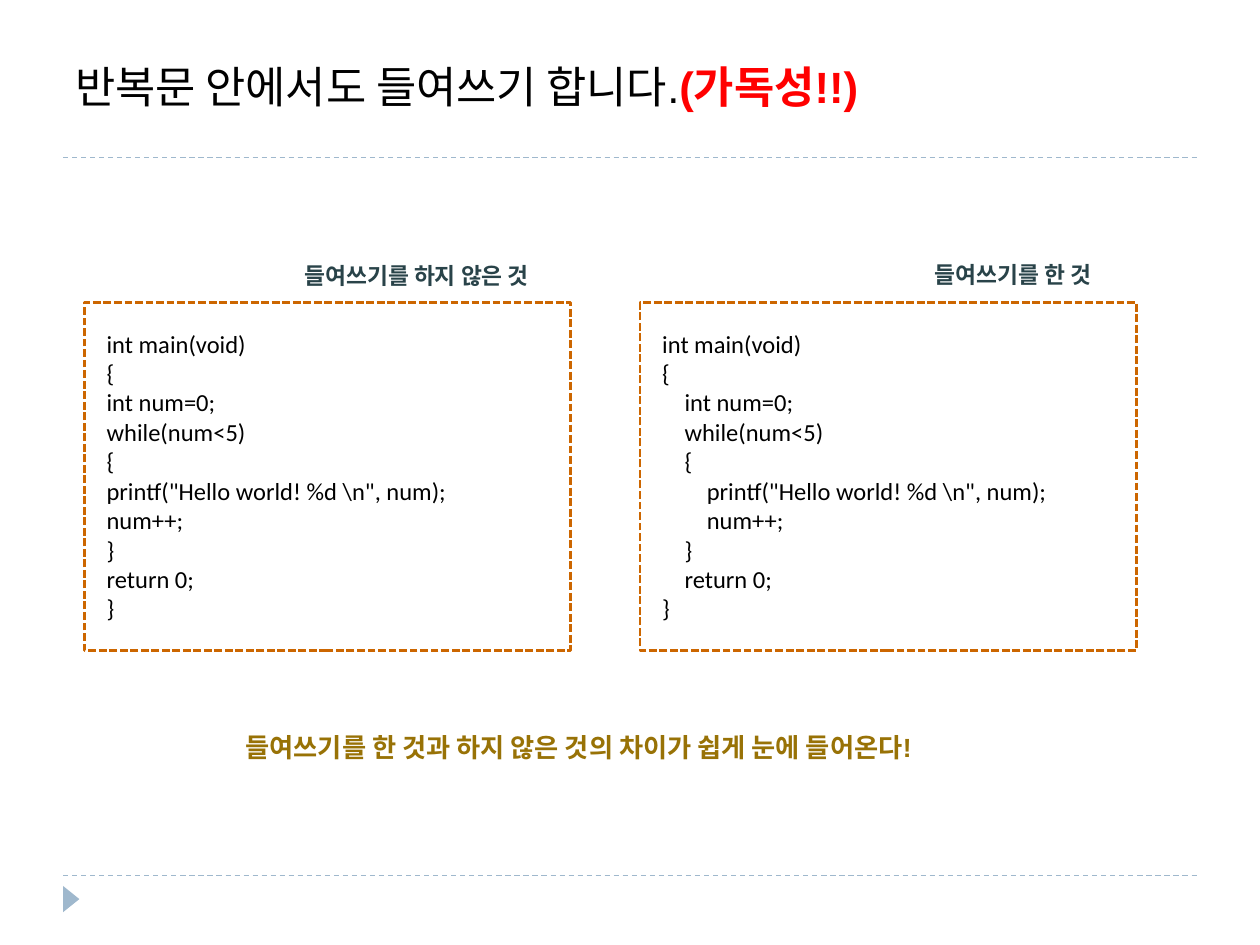
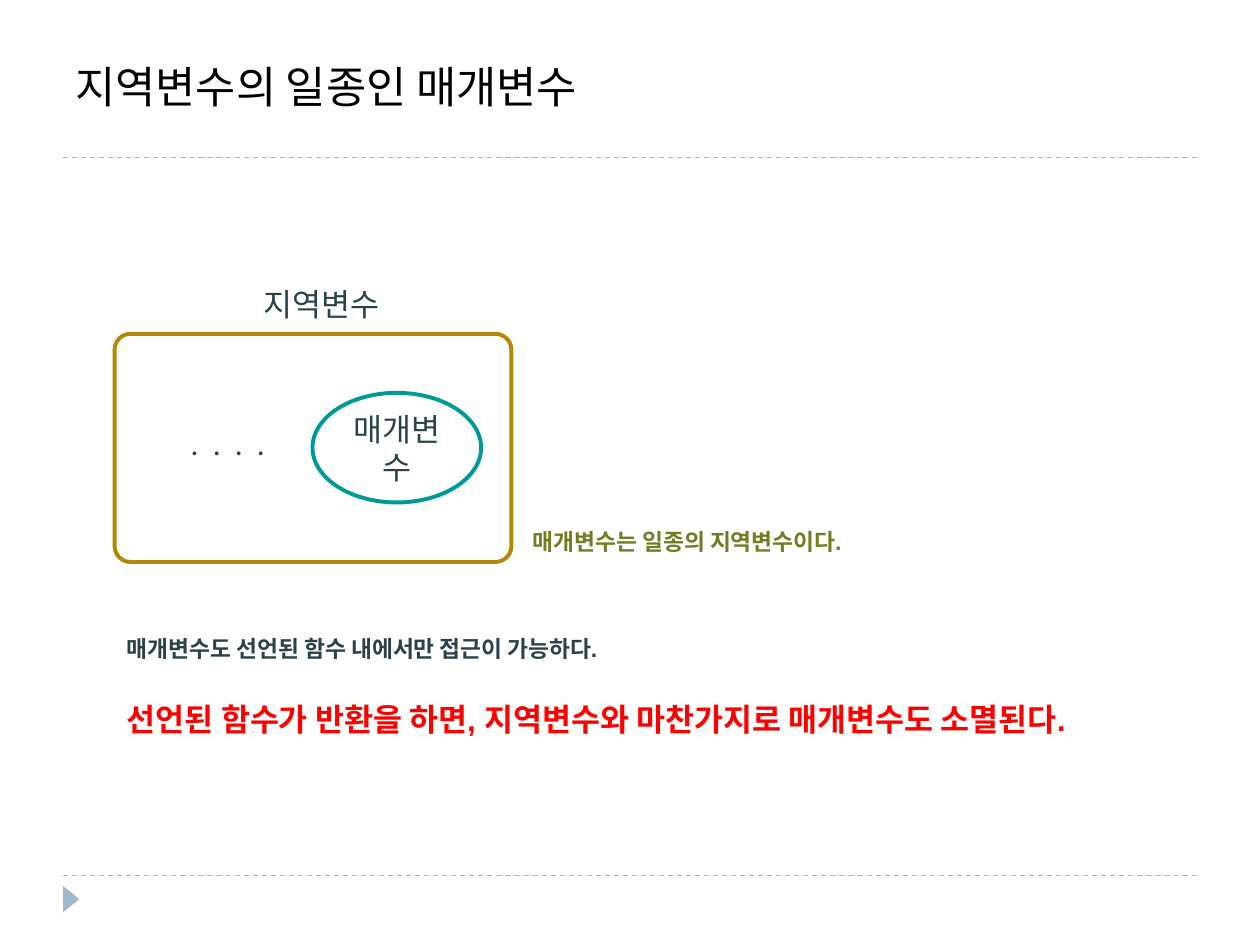
from pptx import Presentation
from pptx.dml.color import RGBColor as RGB
from pptx.enum.dml import MSO_LINE as DASH
from pptx.enum.shapes import MSO_CONNECTOR, MSO_SHAPE as SHAPE
from pptx.enum.text import MSO_ANCHOR as ANCHOR, PP_ALIGN as ALIGN
from pptx.oxml.ns import qn
from pptx.util import Cm, Pt
from lxml.etree import SubElement

COLORS = {
    "text": "000000", "band": "9FB8CD", "alert": "FF0000", "label": "294349",
    "code": "CC6600", "summary": "987206", "scope": "B38807",
    "param": "009999", "note": "737C22",
}
TITLES = [
    (22.86, [("반복문 안에서도 들여쓰기 합니다.", "text", False), ("(가독성!!)", "alert", True)]),
    (18.82, [("지역변수의 일종인 매개변수", "text", False)]),
]
CODE = [
    (0, "int main(void)"), (0, "{"), (1, "int num=0;"), (1, "while(num<5)"),
    (1, "{"), (2, 'printf("Hello world! %d \\n", num);'), (2, "num++;"),
    (1, "}"), (1, "return 0;"), (0, "}"),
]


def add_outline(s, kind, box, color=None, width=0, dash=None):
    sp = s.shapes.add_shape(kind, *map(Cm, box))
    sp.shadow.inherit = False
    sp.fill.background()
    if color:
        sp.line.color.rgb = RGB.from_string(COLORS[color])
        sp.line.width = Pt(width)
        sp.line.dash_style = dash
    else:
        sp.line.fill.background()
    return sp


def add_text(s, box, text, size, color, font="Arial", bold=True, spacing=None):
    tf = s.shapes.add_textbox(*map(Cm, box)).text_frame
    tf.word_wrap = True
    tf.text = text
    for p in tf.paragraphs:
        p.line_spacing = spacing
        for r in p.runs:
            r.font.size, r.font.name, r.font.bold = Pt(size), font, bold
            r.font.color.rgb = RGB.from_string(COLORS[color])
    return tf


prs = Presentation()
prs.slide_width, prs.slide_height = Cm(25.4), Cm(19.05)

for title_width, parts in TITLES:
    s = prs.slides.add_slide(prs.slide_layouts[6])
    for y in (17.65, 3.18):
        line = s.shapes.add_connector(MSO_CONNECTOR.STRAIGHT, Cm(1.27), Cm(y), Cm(24.13), Cm(y))
        line.line.color.rgb = RGB.from_string(COLORS["band"])
        line.line.width = Pt(0.75)
        line.line.dash_style = DASH.DASH
        SubElement(line._element.spPr, qn("a:effectLst"))
    sp = add_outline(s, SHAPE.ISOSCELES_TRIANGLE, (1.17, 17.96, 0.53, 0.33))
    sp.rotation = 90
    sp.fill.solid()
    sp.fill.fore_color.rgb = RGB.from_string(COLORS["band"])
    tf = add_text(s, (1.27, 0.43, title_width, 1.96), "", 25, "text")
    tf.vertical_anchor = ANCHOR.BOTTOM
    for text, color, bold in parts:
        r = tf.paragraphs[0].add_run()
        r.text = text
        r.font.size, r.font.name, r.font.bold = Pt(25), "Arial", bold
        r.font.color.rgb = RGB.from_string(COLORS[color])

indent_slide, param_slide = prs.slides

for left, width, indent in ((1.7, 9.8, 0), (12.9, 10.01, 0.45)):
    tf = add_text(indent_slide, (left + 0.2, 6.5, width - 0.4, 6.25),
                  "\n".join(text for level, text in CODE), 14, "text", "Calibri", False)
    for p, (level, text) in zip(tf.paragraphs, CODE):
        p._p.get_or_add_pPr().set("marL", str(Cm(level * indent)))
    add_outline(indent_slide, SHAPE.RECTANGLE, (left, 6.1, width, 7.01), "code", 1.5, DASH.SQUARE_DOT)

add_text(indent_slide, (4.7, 14.3, 15.8, 1.22),
         "들여쓰기를 한 것과 하지 않은 것의 차이가 쉽게 눈에 들어온다!", 15, "summary", spacing=1.5)
add_text(indent_slide, (18.59, 5.13, 4.32, 0.81), "들여쓰기를 한 것", 13, "label")
add_text(indent_slide, (5.89, 5.16, 5.59, 0.81), "들여쓰기를 하지 않은 것", 13, "label")

sp = add_outline(param_slide, SHAPE.ROUNDED_RECTANGLE, (2.31, 6.73, 8, 4.6), "scope", 2.25)
sp.adjustments[0] = 0.07
for text, box, color, tracking in (
    ("매개변수", (6.3, 7.92, 3.4, 2.21), "param", 0),
    ("지역변수", (4.09, 5.33, 4.8, 1.6), None, 0),
    (". . . .", (2.69, 8.13, 3.81, 1.6), None, 200),
):
    sp = add_outline(param_slide, SHAPE.OVAL, box, color, 2.25)
    tf = sp.text_frame
    tf.word_wrap = True
    tf.vertical_anchor = ANCHOR.MIDDLE
    tf.text = text
    p = tf.paragraphs[0]
    p.alignment = ALIGN.CENTER
    r = p.runs[0]
    r.font.size, r.font.name = Pt(18), "Calibri"
    r.font.color.rgb = RGB.from_string(COLORS["label"])
    if tracking:
        r._r.get_or_add_rPr().set("spc", str(tracking))

add_text(param_slide, (10.49, 10.24, 7.39, 1.09), "매개변수는 일종의 지역변수이다.", 13, "note", spacing=1.5)
tf = add_text(param_slide, (2.31, 12.12, 21.79, 2.67),
              "매개변수도 선언된 함수 내에서만 접근이 가능하다.\n"
              "선언된 함수가 반환을 하면, 지역변수와 마찬가지로 매개변수도 소멸된다.",
              13, "label", spacing=2.0)
r = tf.paragraphs[1].runs[0]
r.font.size = Pt(18)
r.font.color.rgb = RGB.from_string(COLORS["alert"])

prs.save("out.pptx")
